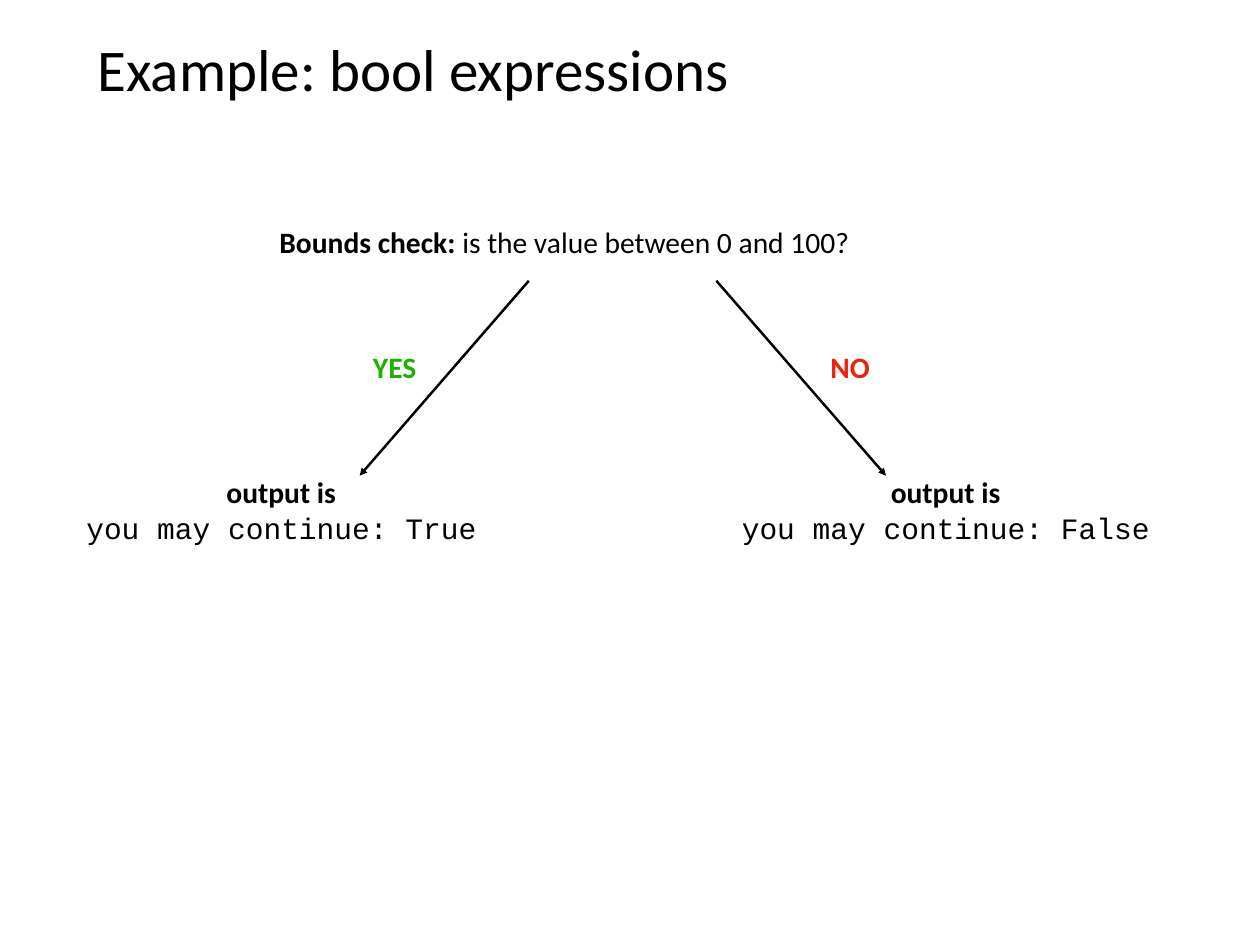
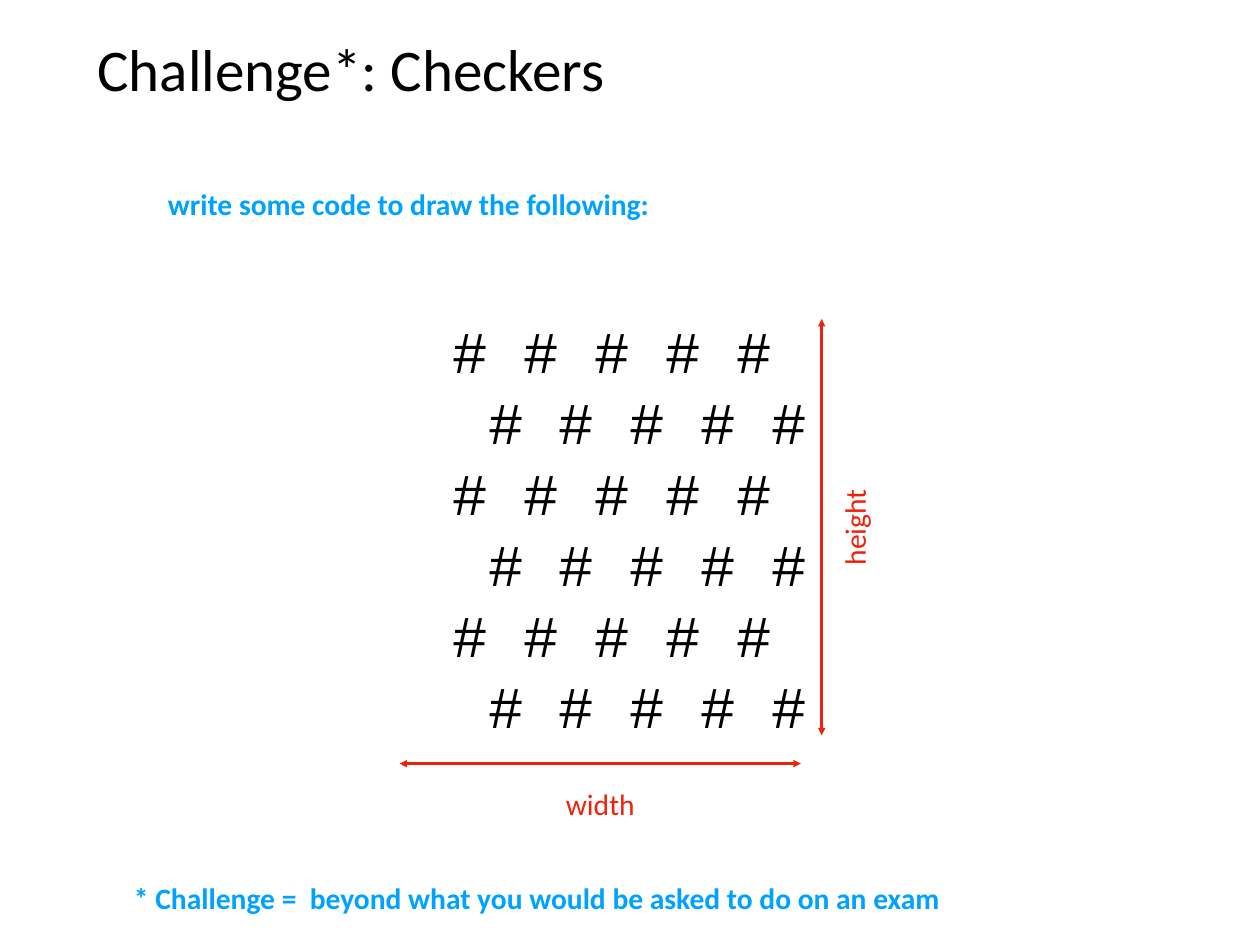
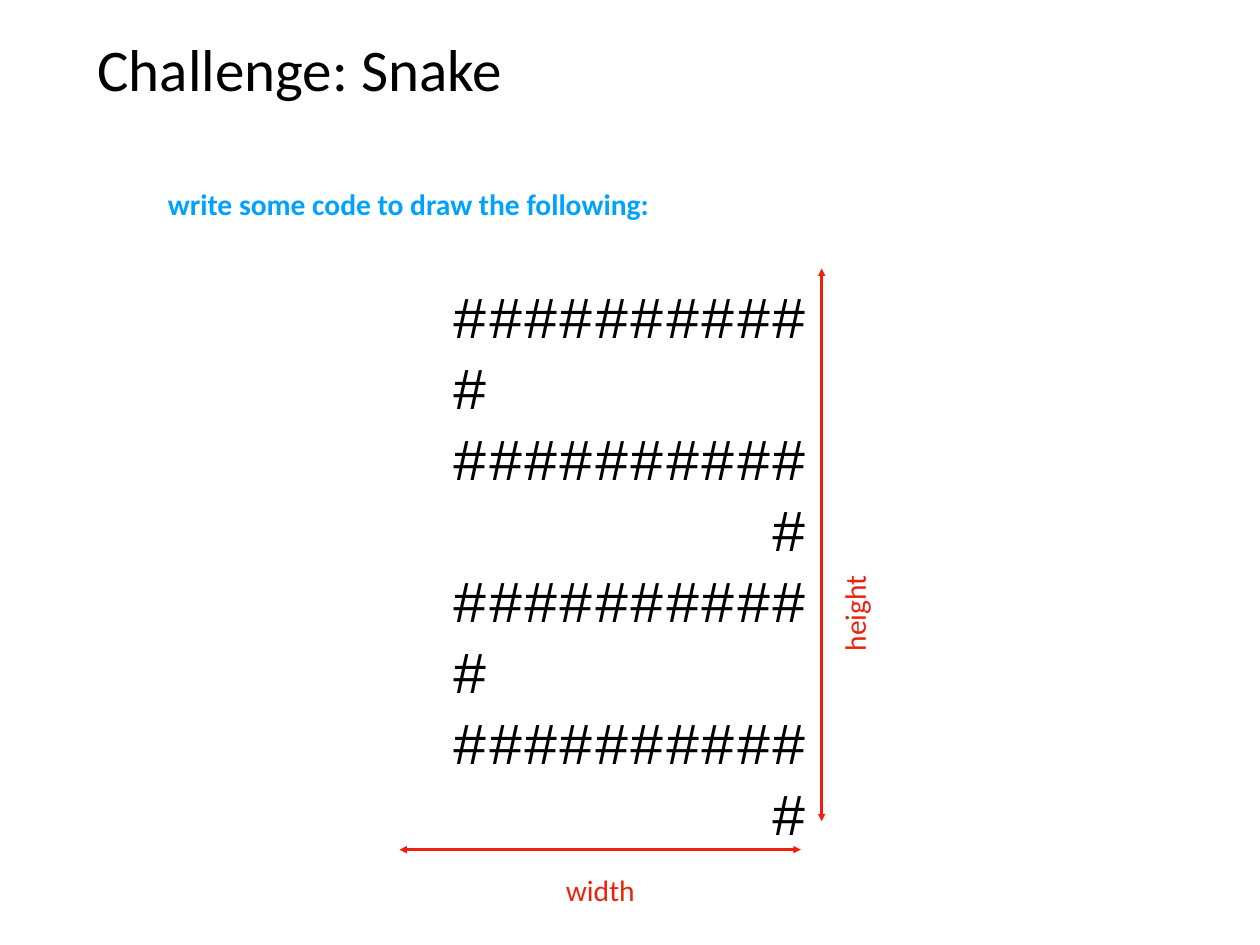
from dataclasses import dataclass

from lxml import etree
from pptx import Presentation
from pptx.dml.color import RGBColor
from pptx.enum import shapes, text
from pptx.oxml import ns
from pptx.util import Pt

LEFT, CENTER = text.PP_ALIGN.LEFT, text.PP_ALIGN.CENTER


@dataclass(frozen=True)
class Theme:
    black: str = "000000"
    green: str = "1DB100"
    red: str = "EE220C"
    blue: str = "00A2FF"
    sans: str = "Calibri"
    mono: str = "Courier New"
    large: float = 48
    body: float = 24
    margin: float = 4.32
    line: float = 2
    pattern_pitch: float = 57.7    # row height of the # patterns
    pattern_char: float = 28.8     # width of one large mono character


THEME = Theme()
PATTERN_COLUMNS = 10


@dataclass(frozen=True)
class Style:
    size: float = THEME.body
    color: str = THEME.black
    font: str = THEME.sans
    bold: bool = False


TITLE = Style(size=THEME.large)
BODY = Style()
STRONG = Style(bold=True)
CODE = Style(font=THEME.mono)
PATTERN = Style(size=THEME.large, font=THEME.mono)
YES = Style(color=THEME.green, bold=True)
NO = Style(color=THEME.red, bold=True)
TASK = Style(color=THEME.blue, bold=True)
DIMENSION = Style(color=THEME.red)


# Kinds of element
def add_text(slide, box, paragraphs, align=LEFT, wrap=False, rotation=0):
    """Each paragraph is a list of (wording, style) pairs."""
    label = slide.shapes.add_textbox(*map(Pt, box))
    label.rotation = rotation
    frame = label.text_frame
    frame.word_wrap = wrap
    frame.vertical_anchor = text.MSO_ANCHOR.MIDDLE
    frame.margin_left = frame.margin_right = Pt(THEME.margin)
    frame.margin_top = frame.margin_bottom = Pt(THEME.margin)
    for index, pieces in enumerate(paragraphs):
        paragraph = frame.add_paragraph() if index else frame.paragraphs[0]
        paragraph.alignment = align
        for wording, style in pieces:
            run = paragraph.add_run()
            run.text = wording
            run.font.size = Pt(style.size)
            run.font.name = style.font
            run.font.bold = style.bold
            run.font.color.rgb = RGBColor.from_string(style.color)
    return frame


def add_label(slide, box, wording, style, rotation=0):
    add_text(slide, box, [[(wording, style)]], CENTER, rotation=rotation)


def add_arrow(slide, start, end, color, double=False):
    arrow = slide.shapes.add_connector(
        shapes.MSO_CONNECTOR.STRAIGHT, *map(Pt, (*start, *end)))
    arrow.line.color.rgb = RGBColor.from_string(color)
    arrow.line.width = Pt(THEME.line)
    outline = arrow.line._get_or_add_ln()
    for tip in ("a:headEnd", "a:tailEnd") if double else ("a:tailEnd",):
        etree.SubElement(outline, ns.qn(tip), type="triangle")
    etree.SubElement(arrow._element.spPr, ns.qn("a:effectLst"))


def add_pattern(slide, top, rows):
    """Each row is a (characters, indent in characters) pair."""
    height = len(rows) * THEME.pattern_pitch + 2 * THEME.margin
    frame = add_text(slide, (363.6, top, 302, height),
                     [[(characters, PATTERN)] for characters, _ in rows],
                     wrap=True)
    for paragraph, (_, indent) in zip(frame.paragraphs, rows):
        paragraph.line_spacing = Pt(THEME.pattern_pitch)
        properties = paragraph._p.get_or_add_pPr()
        properties.set("marL", str(Pt(indent * THEME.pattern_char)))
        properties.set("indent", "0")


def add_dimensions(slide, height_top, width_y):
    """Width arrow below the pattern, height arrow at its right."""
    height_x = 667.8
    add_arrow(slide, (324.7, width_y), (650.9, width_y), THEME.red, True)
    add_arrow(slide, (height_x, height_top), (height_x, width_y - 23),
              THEME.red, True)
    add_label(slide, (452.2, width_y + 14, 71.3, 36.7), "width", DIMENSION)
    add_label(slide, (653.8, width_y - 210.3, 80.6, 36.7), "height",
              DIMENSION, rotation=270)


# Slides
def add_titled_slide(deck, title):
    slide = deck.slides.add_slide(deck.slide_layouts[6])
    add_text(slide, (74.9, 19.6, 874, 71.3), [[(title, TITLE)]], wrap=True)
    return slide


def add_bool_slide(deck):
    slide = add_titled_slide(deck, "Example: bool expressions")
    add_text(slide, (222.8, 177.8, 545, 36.7),
             [[("Bounds check: ", STRONG),
               ("is the value between 0 and 100?", BODY)]])
    # Outcomes: output box, arrow ends, answer label
    outcomes = (
        ("True", (58.6, 340), (429.8, 292.3), "YES", YES, (295.9, 49.7)),
        ("False", (588.5, 360), (582.2, 720), "NO", NO, (667.4, 46.8)),
    )
    for value, (left, width), (start, end), answer, style, (x, w) in outcomes:
        add_text(slide, (left, 381.6, width, 65.5),
                 [[("output is", STRONG)],
                  [(f"you may continue: {value}", CODE)]], CENTER)
        add_arrow(slide, (start, 228.2), (end, 386.6), THEME.black)
        add_label(slide, (x, 279.6, w, 36.7), answer, style)


def add_challenge_slide(deck, title, pattern_top, rows, height_top, width_y):
    slide = add_titled_slide(deck, title)
    add_label(slide, (94, 146.9, 475.9, 36.7),
              "write some code to draw the following:", TASK)
    add_pattern(slide, pattern_top, rows)
    add_dimensions(slide, height_top, width_y)
    return slide


def main():
    deck = Presentation()
    deck.slide_width, deck.slide_height = Pt(1024), Pt(768)

    add_bool_slide(deck)

    # Checkers: every second row moves one character right
    checkers_row = " ".join("#" * (PATTERN_COLUMNS // 2))
    checkers = [(checkers_row, row % 2) for row in range(6)]
    slide = add_challenge_slide(deck, "Challenge*: Checkers", 251.4, checkers,
                                259.2, 620.6)
    add_label(slide, (40.3, 711.4, 792, 36.7),
              "* Challenge =  beyond what you would be asked to do on an exam",
              TASK)

    # Snake: full rows joined at the left and right in turn
    full_row = ("#" * PATTERN_COLUMNS, 0)
    turns = [("#", 0), ("#", PATTERN_COLUMNS - 1)]
    snake = [row for turn in turns * 2 for row in (full_row, turn)]
    add_challenge_slide(deck, "Challenge: Snake", 222.8, snake, 218.2, 690.5)

    deck.save("out.pptx")


if __name__ == "__main__":
    main()
